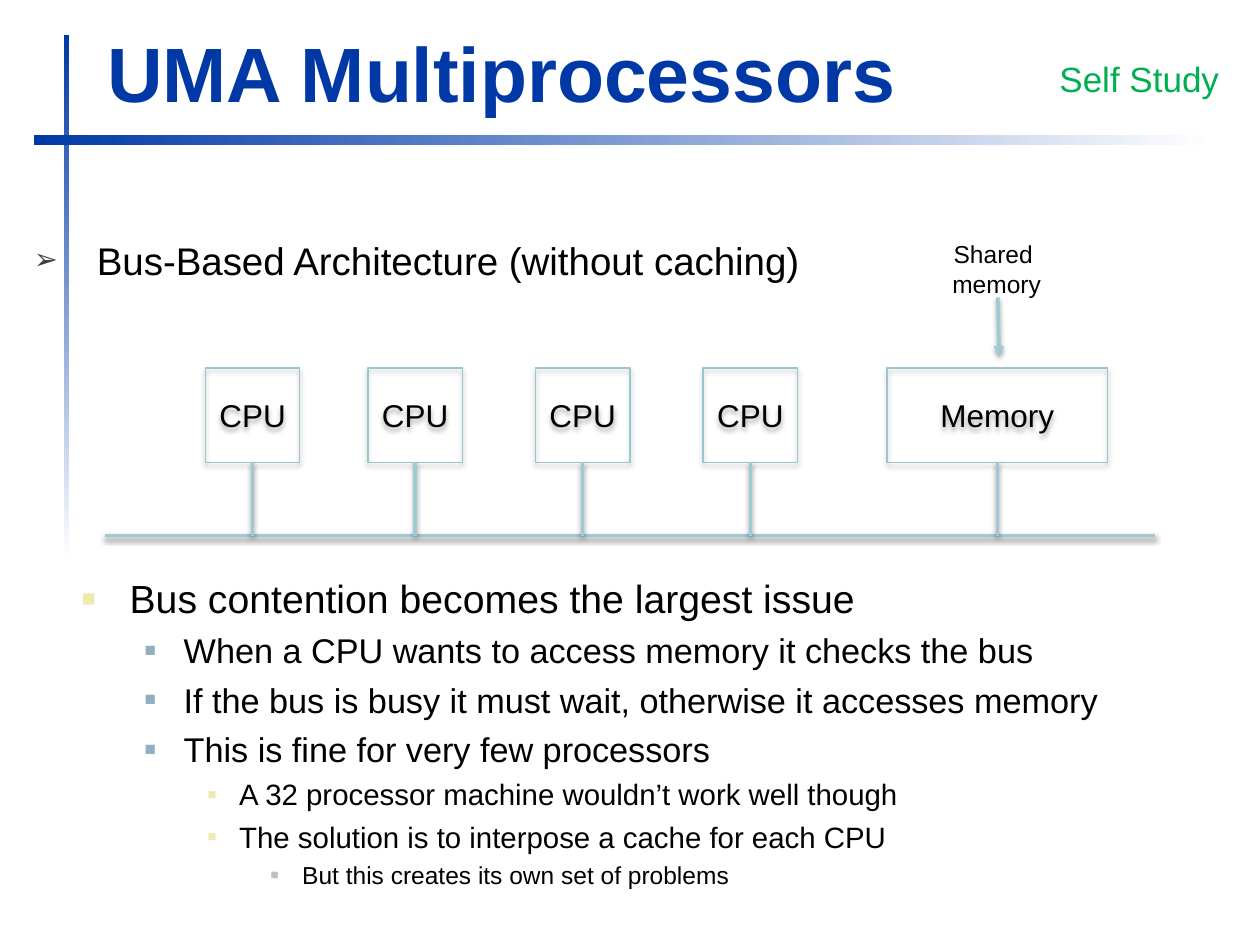
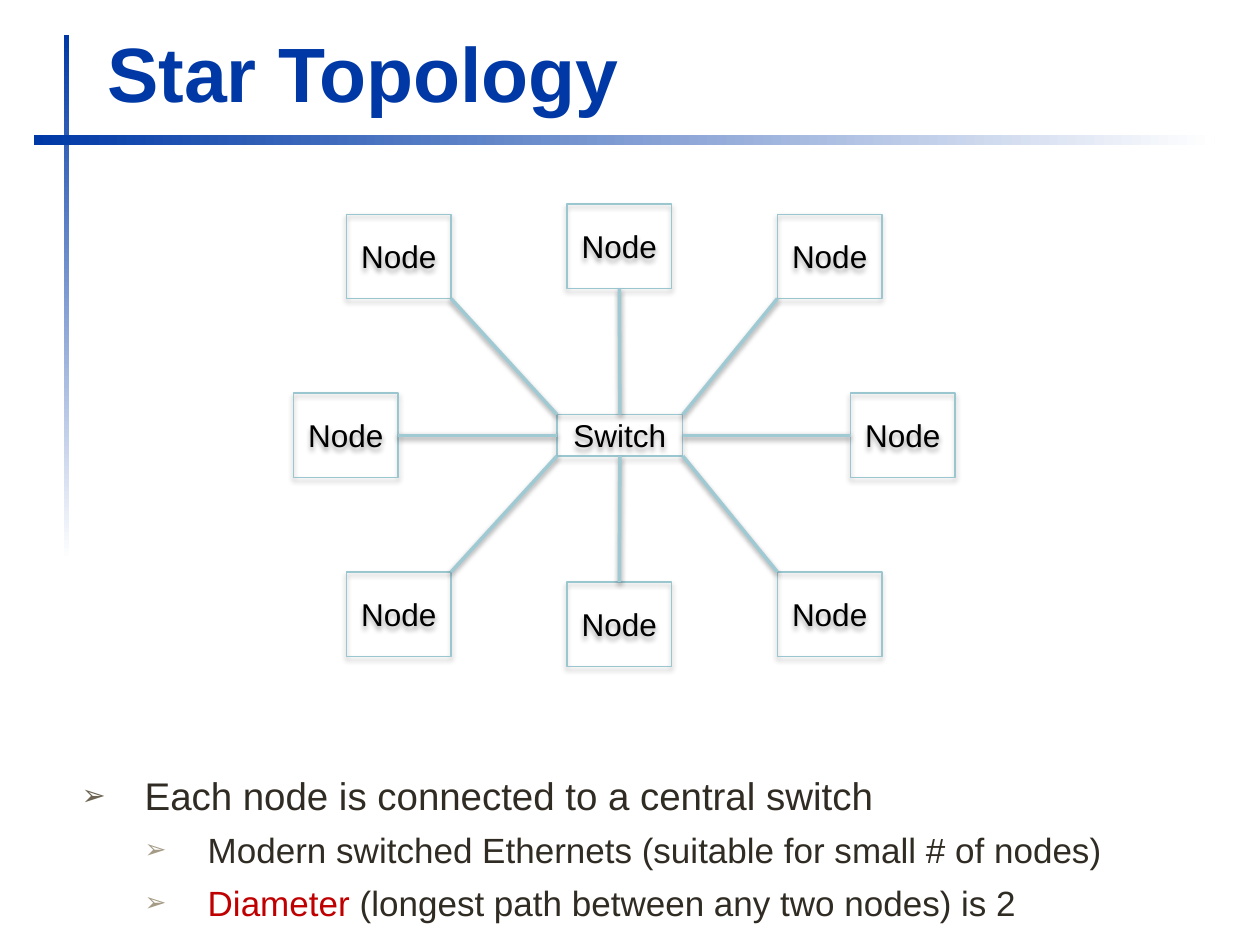
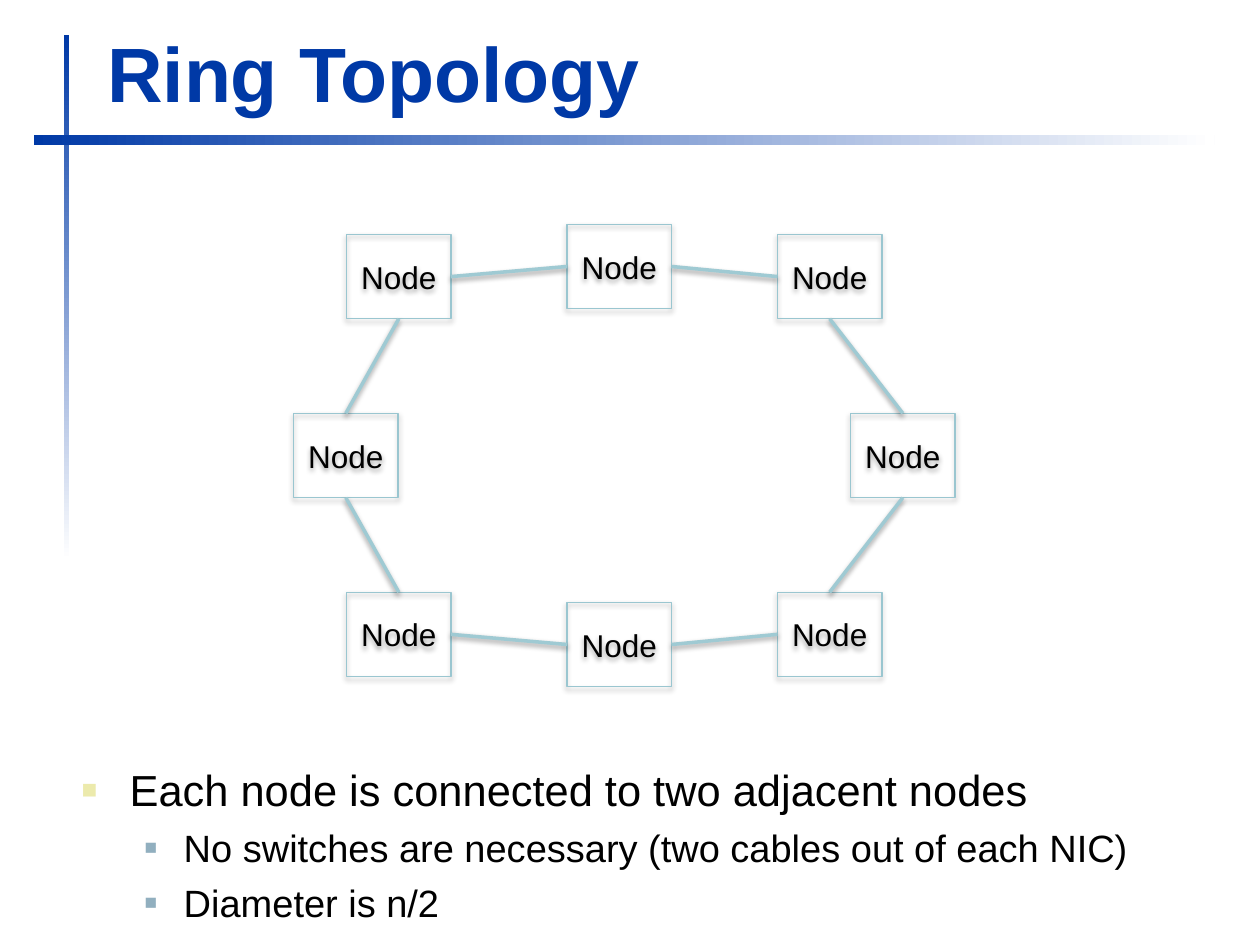
from dataclasses import dataclass

from lxml import etree
from pptx import Presentation
from pptx import util as u
from pptx.dml import color
from pptx.enum import shapes, text
from pptx.oxml import ns


@dataclass(frozen=True)
class Theme:
    font: str = "Arial"
    navy: str = "0039A6"
    white: str = "FFFFFF"
    black: str = "000000"
    green: str = "00B050"
    red: str = "C00000"
    brown: str = "302C24"
    outline: str = "9AC6D0"
    link: str = "9FCAD3"
    title_size: float = 44
    tag_size: float = 20
    box_size: float = 18
    caption_size: float = 14
    heading_size: float = 22
    detail_size: float = 20
    outline_sizes: tuple = (32, 28, 24, 20)


THEME = Theme()

SQUARES = [
    ("■", 0.38, 0.38, "ECEAAC", 60),
    ("■", 0.81, 0.31, "91AFBF", 55),
    ("■", 1.25, 0.25, "ECEAAC", 50),
    ("■", 1.75, 0.25, "C0C0C0", 55),
]
ARROWS = [
    ("➢", 0.5, 0.5, "6D6452", 75),
    ("➢", 1, 0.5, "A49A85", 75),
]
DARK_ARROW = [("➢", 0.5, 0.5, "404040", 75)]

NODE_SIZE = (0.83, 0.67)
NODE_OFFSETS = [
    (4.5, -1.5), (6.17, -1.42), (6.75, 0), (6.17, 1.42),
    (4.5, 1.5), (2.75, 1.42), (2.33, 0), (2.75, -1.42),
]
STAR_ENDS = [
    (0.5, 1), (0, 1), (0, 0.5), (0, 0),
    (0.5, 0), (1, 0), (1, 0.5), (1, 1),
]
TOP, LEFT, BOTTOM, RIGHT = range(4)
RING_EXITS = [RIGHT, BOTTOM, BOTTOM, LEFT, LEFT, TOP, TOP, RIGHT]


def rgb(value):
    return color.RGBColor.from_string(value)


def assign(target, values):
    for name, value in values.items():
        setattr(target, name, value)


def add_xml(parent, tag, **attributes):
    return etree.SubElement(parent, ns.qn(tag), attributes)


def place(left, top, width, height):
    return [u.Inches(value) for value in (left, top, width, height)]


def spot(box, across, down):
    return box.left + int(box.width * across), box.top + int(box.height * down)


class Deck:
    def __init__(self, theme):
        self.theme = theme
        self.show = Presentation()
        assign(self.show, {"slide_width": u.Inches(10), "slide_height": u.Inches(7.5)})
        self.layout = self.show.slide_layouts.get_by_name("Title Only")
        self.slide = None

    def start(self, title):
        first = self.slide is None
        self.slide = self.show.slides.add_slide(self.layout)
        if first:
            self.band(2, (0.51, 0.28, 0.04, 4.17), 270)
            self.band(3, (0.27, 1.07, 9.37, 0.08), 0)
        heading = self.slide.shapes.title
        left, top, width, height = place(0.75, 0.16, 9.03, 0.83)
        assign(heading, {"left": left, "top": top, "width": width, "height": height})
        assign(heading.text_frame, {
            "vertical_anchor": text.MSO_ANCHOR.BOTTOM,
            "auto_size": text.MSO_AUTO_SIZE.NONE,
        })
        paragraph = heading.text_frame.paragraphs[0]
        paragraph.alignment = text.PP_ALIGN.LEFT
        self.run(paragraph, title, self.theme.title_size, self.theme.navy, True)

    def band(self, position, area, angle):
        bar = self.slide.shapes.add_shape(shapes.MSO_SHAPE.RECTANGLE, *place(*area))
        bar.shadow.inherit = False
        bar.line.fill.background()
        bar.fill.gradient()
        bar.fill.gradient_angle = angle
        for stop, tint in zip(bar.fill.gradient_stops, (self.theme.navy, self.theme.white)):
            stop.color.rgb = rgb(tint)
        bar.element.nvSpPr.cNvPr.set("id", str(100 + position))
        self.layout.shapes.element.insert(position, bar.element)

    def run(self, paragraph, words, size, tint, bold=False):
        piece = paragraph.add_run()
        piece.text = words
        assign(piece.font, {"name": self.theme.font, "size": u.Pt(size), "bold": bold})
        piece.font.color.rgb = rgb(tint)

    def shadow(self, item, opacity, distance):
        effects = add_xml(item.element.spPr, "a:effectLst")
        outer = add_xml(effects, "a:outerShdw", blurRad=str(u.Pt(3.1)),
                        dist=str(u.Pt(distance)), dir="5400000", rotWithShape="0")
        tint = add_xml(outer, "a:srgbClr", val=self.theme.black)
        add_xml(tint, "a:alpha", val=str(opacity * 1000))

    def box(self, label, area):
        frame = self.slide.shapes.add_shape(shapes.MSO_SHAPE.RECTANGLE, *place(*area))
        frame.fill.background()
        frame.line.color.rgb = rgb(self.theme.outline)
        frame.line.width = u.Pt(0.75)
        self.shadow(frame, 35, 1.8)
        assign(frame.text_frame, {
            "vertical_anchor": text.MSO_ANCHOR.MIDDLE, "word_wrap": True,
            "margin_left": 0, "margin_right": 0,
        })
        paragraph = frame.text_frame.paragraphs[0]
        paragraph.alignment = text.PP_ALIGN.CENTER
        self.run(paragraph, label, self.theme.box_size, self.theme.black)
        return frame

    def line(self, start, end, arrow=False):
        link = self.slide.shapes.add_connector(shapes.MSO_CONNECTOR.STRAIGHT, *start, *end)
        link.line.color.rgb = rgb(self.theme.link)
        link.line.width = u.Pt(2)
        if arrow:
            add_xml(link.element.spPr.find(ns.qn("a:ln")), "a:tailEnd", type="triangle")
        self.shadow(link, 38, 1.6)
        return link

    def caption(self, lines, area, size, tint, alignment=text.PP_ALIGN.LEFT):
        frame = self.slide.shapes.add_textbox(*place(*area)).text_frame
        frame.word_wrap = True
        for index, words in enumerate(lines):
            paragraph = frame.add_paragraph() if index else frame.paragraphs[0]
            paragraph.alignment = alignment
            self.run(paragraph, words, size, tint)

    def bullets(self, items, area, levels, sizes, tint, spacing=0.24, filled=False):
        panel = self.slide.shapes.add_textbox(*place(*area))
        if filled:
            panel.fill.solid()
            panel.fill.fore_color.rgb = rgb(self.theme.white)
        frame = panel.text_frame
        frame.word_wrap = True
        for index, (level, *pieces) in enumerate(items):
            paragraph = frame.add_paragraph() if index else frame.paragraphs[0]
            before = u.Pt(round(sizes[level] * spacing, 1)) if index else 0
            assign(paragraph, {"level": level, "space_before": before})
            self.bullet(paragraph, *levels[level])
            for piece in pieces:
                words, shade = piece if isinstance(piece, tuple) else (piece, tint)
                self.run(paragraph, words, sizes[level], shade)

    def bullet(self, paragraph, mark, margin, hanging, tint, percent):
        properties = paragraph._p.get_or_add_pPr()
        properties.set("marL", str(u.Inches(margin)))
        properties.set("indent", str(-u.Inches(hanging)))
        add_xml(add_xml(properties, "a:buClr"), "a:srgbClr", val=tint)
        add_xml(properties, "a:buSzPct", val=str(percent * 1000))
        add_xml(properties, "a:buFont", typeface=self.theme.font)
        add_xml(properties, "a:buChar", char=mark)

    def nodes(self, middle):
        return [self.box("Node", (left, middle + offset, *NODE_SIZE))
                for left, offset in NODE_OFFSETS]


def scaled(factor):
    return [round(size * factor, 1) for size in THEME.outline_sizes]


def uma_slide(deck):
    deck.start("UMA Multiprocessors")
    deck.bullets([
        (0, "Bus contention becomes the largest issue"),
        (1, "When a CPU wants to access memory it checks the bus"),
        (1, "If the bus is busy it must wait, otherwise it accesses memory"),
        (1, "This is fine for very few processors"),
        (2, "A 32 processor machine wouldn’t work well though"),
        (2, "The solution is to interpose a cache for each CPU"),
        (3, "But this creates its own set of problems"),
    ], (0.55, 4.51, 8.91, 2.66), SQUARES, scaled(0.7), THEME.black)

    bus_y = u.Inches(4.25)
    deck.line((u.Inches(0.83), bus_y), (u.Inches(9.17), bus_y))
    units = [("CPU", left, 0.75) for left in (1.63, 2.92, 4.25, 5.58)]
    for label, left, width in units + [("Memory", 7.04, 1.75)]:
        unit = deck.box(label, (left, 2.92, width, 0.75))
        drop = spot(unit, 0.5, 1)
        deck.line(drop, (drop[0], bus_y)).begin_connect(unit, BOTTOM)

    deck.bullets([(0, "Bus-Based Architecture (without caching)")],
                 (0.17, 1.83, 8.91, 0.5), DARK_ARROW, [THEME.heading_size], THEME.black)
    deck.caption(["Shared ", "memory"], (7.42, 1.85, 0.98, 0.57),
                 THEME.caption_size, THEME.black, text.PP_ALIGN.CENTER)
    deck.line((u.Inches(7.92), u.Inches(2.36)), (u.Inches(7.93), u.Inches(2.83)), True)
    deck.caption(["Self Study"], (8.31, 0.41, 1.57, 0.44), THEME.tag_size, THEME.green)


def star_slide(deck):
    deck.start("Star Topology")
    switch = deck.box("Switch", (4.42, 3.29, 1, 0.33))
    for node, (across, down) in zip(deck.nodes(3.12), STAR_ENDS):
        deck.line(spot(node, across, down), spot(switch, 1 - across, 1 - down))
    deck.bullets([
        (0, "Each node is connected to a central switch"),
        (1, "Modern switched Ethernets (suitable for small # of nodes)"),
        (1, ("Diameter", THEME.red), " (longest path between any two nodes) is 2"),
    ], (0.55, 6.08, 8.91, 1.42), ARROWS, [THEME.heading_size, THEME.detail_size],
        THEME.brown, 0.3, True)


def ring_slide(deck):
    deck.start("Ring Topology")
    deck.bullets([
        (0, "Each node is connected to two adjacent nodes"),
        (1, "No switches are necessary (two cables out of each NIC)"),
        (1, "Diameter is n/2"),
    ], (0.55, 6.01, 8.91, 1.49), SQUARES, scaled(0.775), THEME.black, filled=True)
    ring = deck.nodes(3.28)
    for node, following, side in zip(ring, ring[1:] + ring[:1], RING_EXITS):
        link = deck.line((0, 0), (0, 0))
        link.begin_connect(node, side)
        link.end_connect(following, (side + 2) % 4)


def main():
    deck = Deck(THEME)
    uma_slide(deck)
    star_slide(deck)
    ring_slide(deck)
    deck.show.save("out.pptx")


if __name__ == "__main__":
    main()
